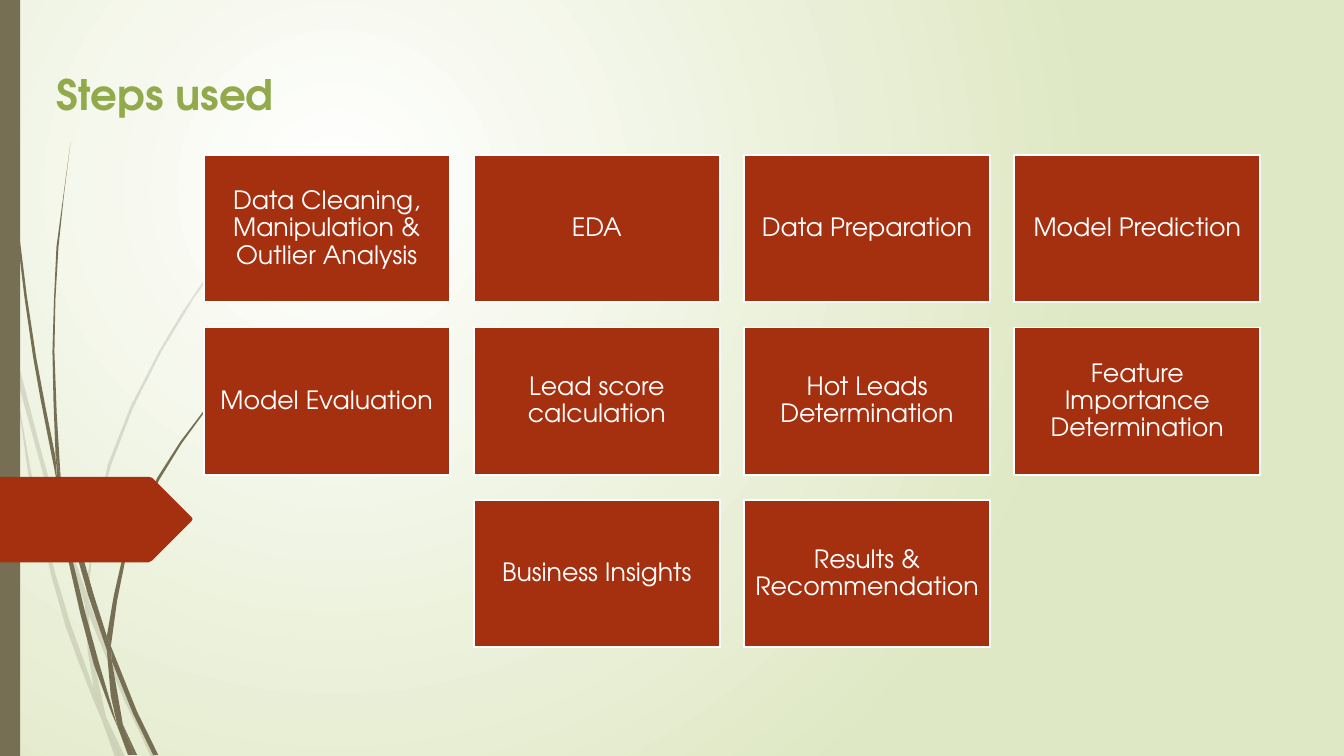
from dataclasses import dataclass
from math import dist

from lxml.etree import SubElement
from pptx import Presentation
from pptx.dml.color import RGBColor
from pptx.enum.shapes import MSO_SHAPE as Preset
from pptx.enum.text import MSO_ANCHOR as Anchor, PP_ALIGN as Align
from pptx.oxml import parse_xml
from pptx.oxml.ns import nsdecls, qn
from pptx.util import Inches, Pt

FONT = "TeX Gyre Adventor"
WHITE = RGBColor(0xFF, 0xFF, 0xFF)
PALE_GREEN = RGBColor(0xDF, 0xE8, 0xC4)
TITLE_GREEN = RGBColor(0x92, 0xAA, 0x4C)
RUST = RGBColor(0xA5, 0x30, 0x10)
BROWN = RGBColor(0x76, 0x6F, 0x54)

Points = list[tuple[float, float]]


@dataclass
class Blade:
    """One piece of grass: an edge out to the tip and an edge back."""
    out: Points
    back: Points


PALE_BLADES = [
    Blade([(0, 2.82), (.09, 3.22), (.11, 3.5)], [(.1, 3.44), (0, 2.99)]),
    Blade([(.14, 3.45), (.62, 5.2), (.85, 5.86)], [(.84, 5.99), (.58, 5.22), (.17, 3.76)]),
    Blade([(.88, 5.96), (1.27, 6.92), (1.55, 7.51)], [(1.5, 7.51), (1.23, 6.94), (.88, 6.1)]),
    Blade([(1.05, 7.11), (1.24, 7.51)], [(1.19, 7.51)]),
    Blade([(.11, 3.5), (.31, 4.69), (.7, 6.19), (.93, 6.83), (1.01, 7.14)],
          [(.92, 6.93), (.65, 6.21), (.28, 4.7)]),
    Blade([(.84, 5.99), (.88, 6.1), (.91, 6.46), (1.05, 7.11)],
          [(.96, 6.92), (.93, 6.83), (.87, 6.46)]),
    Blade([(.88, 5.96), (.88, 5.84), (1.1, 4.62), (1.6, 3.49), (2.29, 2.45), (3.12, 1.54)],
          [(3.12, 1.53), (2.28, 2.44), (1.58, 3.48), (1.07, 4.61), (.85, 5.84)]),
    Blade([(1.01, 7.14), (1.14, 7.51)], [(1.19, 7.51)]),
    Blade([(.85, 5.86), (.88, 5.96), (.88, 6.1)], [(.84, 5.99)]),
    Blade([(.93, 6.83), (1.01, 7.14), (1.19, 7.51)], [(1.05, 7.11), (.96, 6.92)]),
]
DARK_BLADES = [
    Blade([(.03, 0), (.07, 1.1), (.17, 2.33), (.33, 3.55), (.57, 4.81)],
          [(.55, 4.53), (.36, 3.55), (.19, 2.32), (.08, 1.09), (.04, 0)]),
    Blade([(.6, 4.72), (.93, 5.9), (1.06, 6.31)], [(1.06, 6.45), (.88, 5.92), (.64, 5.05)]),
    Blade([(1.1, 6.41), (1.36, 7.06), (1.57, 7.49)], [(1.52, 7.49), (1.32, 7.08), (1.11, 6.56)]),
    Blade([(.57, 4.77), (.72, 5.56), (.98, 6.57), (1.17, 7.22)],
          [(1.11, 7.08), (.93, 6.59), (.68, 5.57)]),
    Blade([(.6, 4.72), (.54, 3.49), (.58, 2.45), (.7, 1.41)],
          [(.56, 2.45), (.52, 3.49), (.55, 4.49)]),
    Blade([(1.22, 7.19), (1.36, 7.49)], [(1.33, 7.49)]),
    Blade([(.55, 4.49), (.6, 4.72), (.64, 5.05)], [(.57, 4.77)]),
    Blade([(1.1, 6.41), (1.25, 5.52), (1.58, 4.76), (2.05, 4.06), (2.61, 3.44)],
          [(2.6, 3.44), (2.04, 4.05), (1.56, 4.74), (1.22, 5.51), (1.06, 6.31)]),
    Blade([(1.17, 7.22), (1.27, 7.49)], [(1.31, 7.49)]),
    Blade([(1.06, 6.45), (1.11, 6.56), (1.22, 7.19)], [(1.16, 7.06), (1.1, 6.91)]),
    Blade([(1.06, 6.31), (1.1, 6.41), (1.11, 6.56)], [(1.06, 6.45)]),
    Blade([(1.1, 6.91), (1.17, 7.22), (1.3, 7.49)], [(1.33, 7.49), (1.22, 7.19)]),
]
ARROW = [(0, 4.73), (1.47, 4.73), (1.51, 4.74), (1.9, 5.13), (1.91, 5.15),
         (1.9, 5.17), (1.51, 5.56), (1.47, 5.58), (0, 5.58)]

STEP_ROWS = [
    ["Data Cleaning, Manipulation & Outlier Analysis", "EDA",
     "Data Preparation", "Model Prediction"],
    ["Model Evaluation", "Lead score calculation",
     "Hot Leads Determination", "Feature Importance Determination"],
    ["Business Insights", "Results & Recommendation"],
]
COLUMNS = 4
GRID_LEFT, GRID_TOP = 2.02, 1.54
STEP_WIDTH, STEP_HEIGHT = 2.44, 1.46
COLUMN_PITCH, ROW_PITCH = 2.68, 1.71


def smooth(knots: Points) -> Points:
    """Return points on a smooth curve through the knots, about two an inch."""
    if len(knots) < 3:
        return knots
    lengths = [dist(a, b) for a, b in zip(knots, knots[1:])]
    slopes = [tuple((q - p) / length for p, q in zip(a, b))
              for a, b, length in zip(knots, knots[1:], lengths)]
    tangents = [slopes[0]]
    for i in range(1, len(slopes)):
        before, after = lengths[i - 1], lengths[i]
        tangents.append(tuple((u * after + v * before) / (before + after)
                              for u, v in zip(slopes[i - 1], slopes[i])))
    tangents.append(slopes[-1])
    curve = [knots[0]]
    for i, length in enumerate(lengths):
        samples = max(1, round(2 * length))
        for step in range(1, samples + 1):
            t = step / samples
            curve.append(tuple(
                (1 + 2 * t) * (1 - t) ** 2 * p + t * t * (3 - 2 * t) * q
                + length * (t * (1 - t) ** 2 * u - t * t * (1 - t) * v)
                for p, q, u, v in zip(knots[i], knots[i + 1], tangents[i], tangents[i + 1])))
    return curve


def paint(shape, color: RGBColor, alpha: int = 100) -> None:
    """Fill a shape, without outline or shadow."""
    shape.shadow.inherit = False
    shape.fill.solid()
    shape.fill.fore_color.rgb = color
    shape.line.fill.background()
    if alpha < 100:
        rgb = shape.element.spPr.find(qn("a:solidFill")).find(qn("a:srgbClr"))
        SubElement(rgb, qn("a:alpha")).set("val", str(alpha * 1000))


def add_outline(shapes, points: Points, color: RGBColor, alpha: int = 100) -> None:
    """Draw a closed filled outline."""
    corners = [(Inches(x), Inches(y)) for x, y in points]
    builder = shapes.build_freeform(*corners[0])
    builder.add_line_segments(corners[1:], close=True)
    paint(builder.convert_to_shape(), color, alpha)


def add_text(frame, text: str, size: int, color: RGBColor, bold: bool = False):
    """Write one run and return its paragraph."""
    frame.word_wrap = True
    paragraph = frame.paragraphs[0]
    run = paragraph.add_run()
    run.text = text
    run.font.name, run.font.size, run.font.bold = FONT, Pt(size), bold
    run.font.color.rgb = color
    return paragraph


def add_step(shapes, left: float, top: float, label: str) -> None:
    """Draw one step box."""
    box = shapes.add_shape(Preset.RECTANGLE, Inches(left), Inches(top),
                           Inches(STEP_WIDTH), Inches(STEP_HEIGHT))
    paint(box, RUST)
    box.line.color.rgb = WHITE
    box.line.width = Pt(1.25)
    frame = box.text_frame
    frame.vertical_anchor = Anchor.MIDDLE
    frame.margin_left = frame.margin_right = Inches(.07)
    frame.margin_top = frame.margin_bottom = Inches(.07)
    paragraph = add_text(frame, label, 18, WHITE)
    paragraph.alignment = Align.CENTER
    paragraph.line_spacing = .9


def set_background(slide) -> None:
    """Fill the background with a circular gradient."""
    fill = slide.background.fill
    fill.gradient()
    for stop, color in zip(fill.gradient_stops, (WHITE, PALE_GREEN)):
        stop.color.rgb = color
    gradient = slide.element.find(".//" + qn("a:gradFill"))
    gradient.replace(gradient.find(qn("a:lin")), parse_xml(
        f'<a:path {nsdecls("a")} path="circle">'
        '<a:fillToRect l="50000" t="50000" r="100000" b="100000"/></a:path>'))


deck = Presentation()
deck.slide_width, deck.slide_height = Inches(13.33), Inches(7.5)
slide = deck.slides.add_slide(deck.slide_layouts[6])
shapes = slide.shapes
set_background(slide)

for blades, alpha in ((PALE_BLADES, 20), (DARK_BLADES, 100)):
    for blade in blades:
        add_outline(shapes, smooth(blade.out) + smooth(blade.back), BROWN, alpha)
side_bar = shapes.add_shape(Preset.RECTANGLE, 0, 0, Inches(.2), Inches(7.5))
paint(side_bar, BROWN)
add_outline(shapes, ARROW, RUST)

title = shapes.add_textbox(Inches(.46), Inches(.49), Inches(9.5), Inches(.74))
title.text_frame.vertical_anchor = Anchor.BOTTOM
add_text(title.text_frame, "Steps used", 30, TITLE_GREEN, bold=True)

for row, labels in enumerate(STEP_ROWS):
    indent = (COLUMNS - len(labels)) / 2
    for column, label in enumerate(labels):
        add_step(shapes, GRID_LEFT + (indent + column) * COLUMN_PITCH,
                 GRID_TOP + row * ROW_PITCH, label)

deck.save("out.pptx")
